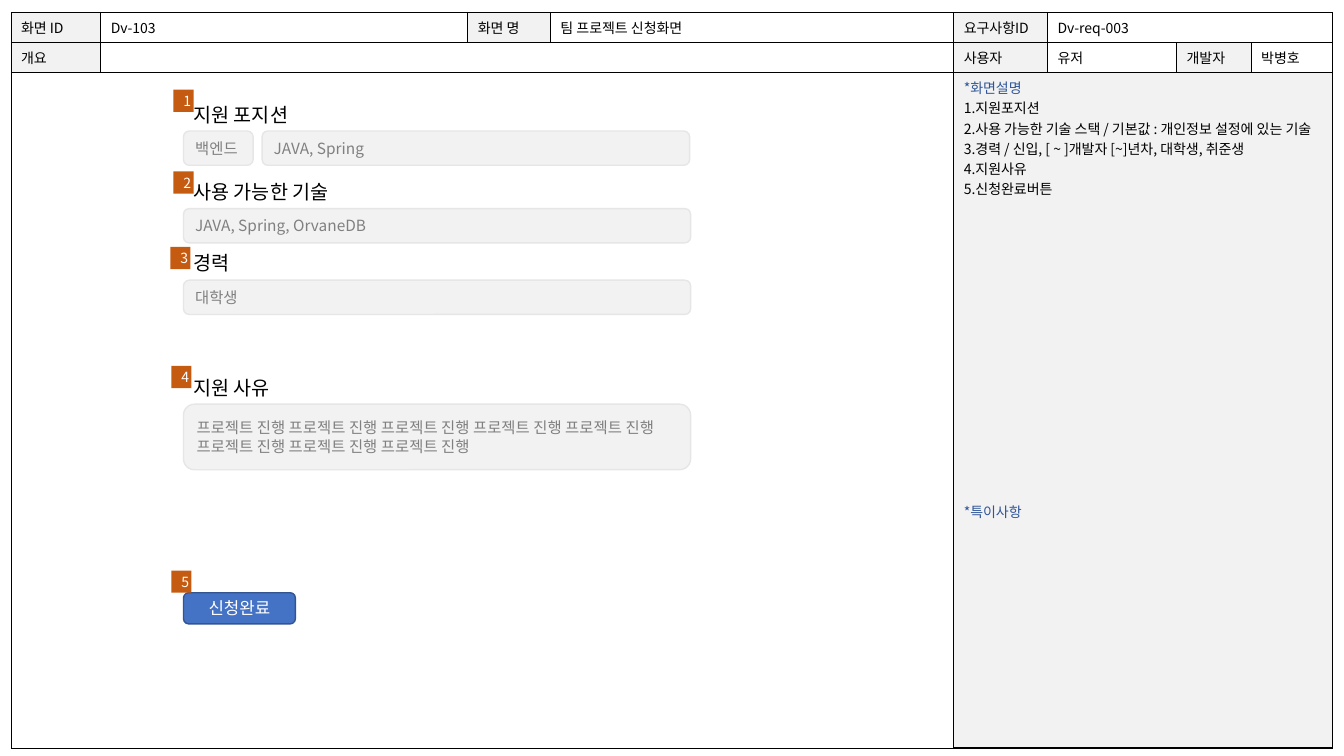
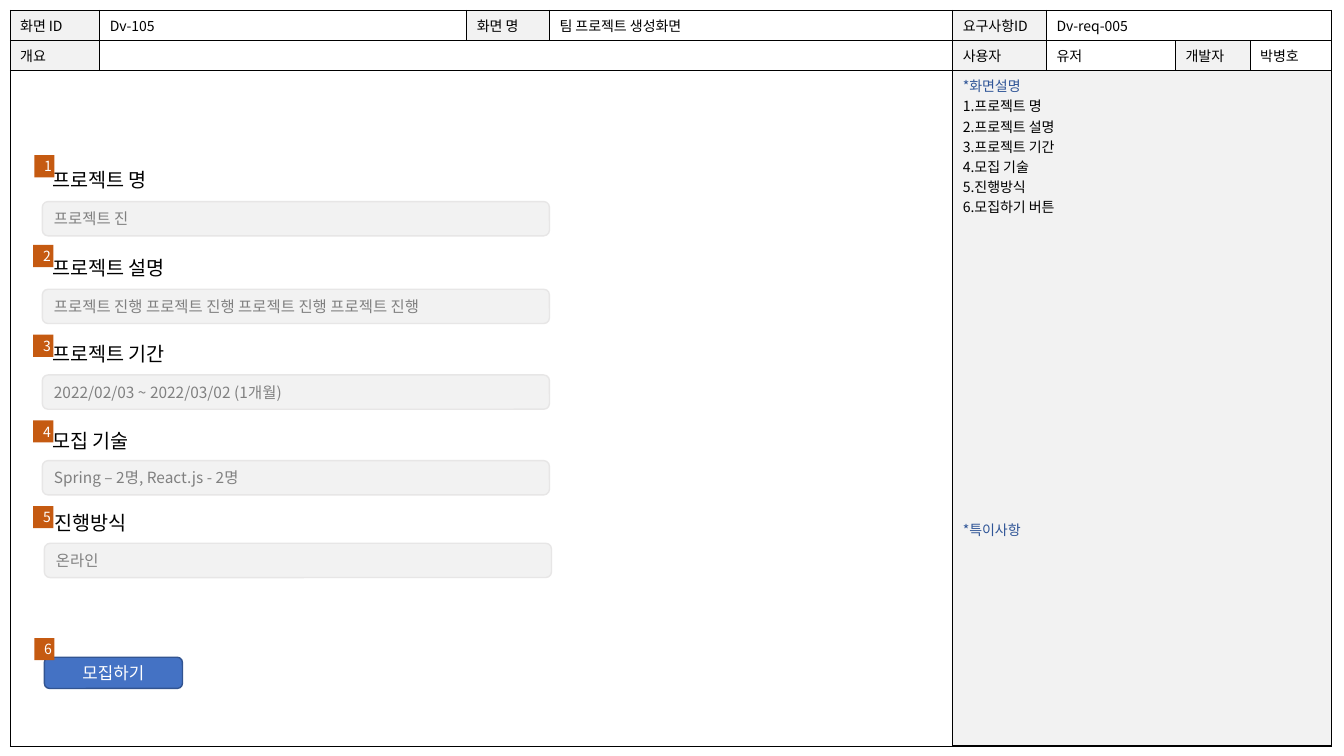
from lxml import etree
from pptx import Presentation
from pptx.dml import color as c
from pptx.enum import shapes, text
from pptx.oxml import ns
from pptx.util import Inches, Pt

FONT = "Noto Sans CJK KR"
BLACK, WHITE, GRAY, NAVY = "000000", "FFFFFF", "F2F2F2", "2F5597"
rgb = c.RGBColor.from_string
LEFT, CENTER = text.PP_ALIGN.LEFT, text.PP_ALIGN.CENTER
ROUNDED, SQUARE = shapes.MSO_SHAPE.ROUNDED_RECTANGLE, shapes.MSO_SHAPE.RECTANGLE

PARTS = {
    "input": dict(geometry=ROUNDED, fill=GRAY, line="E7E6E6", size=11, color="808080", align=LEFT),
    "button": dict(geometry=ROUNDED, fill="4472C4", line="325491", size=12, color=WHITE, align=CENTER),
    "badge": dict(geometry=SQUARE, fill="C55A11", line=None, size=10, color=WHITE, align=CENTER),
}
LABEL_FRAME = dict(word_wrap=False, auto_size=text.MSO_AUTO_SIZE.SHAPE_TO_FIT_TEXT)
PART_FRAME = dict(word_wrap=True, vertical_anchor=text.MSO_ANCHOR.MIDDLE)
PLAIN_TABLE = dict(first_row=False, horz_banding=False)

COLUMNS = [0.89, 3.64, 0.82, 4, 0.93, 1.28, 0.74, 0.81]
ROWS = [0.3, 0.3, 6.7]
MERGES = [((0, 5), (0, 7)), ((1, 1), (1, 3)), ((2, 0), (2, 3)), ((2, 4), (2, 7))]
SHADED = {(0, 0), (0, 2), (0, 4), (1, 0), (1, 4), (1, 6), (2, 4)}
HEAVY = {(2, 0, "R"), (2, 3, "R"), (2, 4, "L"), (2, 4, "B")}
REMARKS_GAP = 216

SCREENS = [
    dict(
        id="Dv-103", name="팀 프로젝트 신청화면", requirement="Dv-req-003",
        origin=(0.11, 0.12),
        notes=["1.지원포지션",
               "2.사용 가능한 기술 스택 / 기본값 : 개인정보 설정에 있는 기술",
               "3.경력 / 신입, [ ~ ]개발자 [~]년차, 대학생, 취준생",
               "4.지원사유", "5.신청완료버튼"],
        labels=[(1.82, 0.97, 1.25, "지원 포지션"), (1.82, 1.74, 1.71, "사용 가능한 기술"),
                (1.82, 2.44, 0.59, "경력"), (1.82, 3.68, 1.06, "지원 사유")],
        inputs=[(1.82, 1.3, 0.69, 0.34, "백엔드"), (2.6, 1.3, 4.24, 0.34, "JAVA, Spring"),
                (1.82, 2.07, 5.03, 0.34, "JAVA, Spring, OrvaneDB"),
                (1.82, 2.78, 5.03, 0.34, "대학생"),
                (1.82, 4.01, 5.03, 0.65, " ".join(["프로젝트 진행"] * 8))],
        button=(1.82, 5.88, 1.11, 0.31, "신청완료"),
        badges=[(1.72, 0.89), (1.72, 1.7), (1.69, 2.45), (1.7, 3.63), (1.7, 5.66)],
    ),
    dict(
        id="Dv-105", name="팀 프로젝트 생성화면", requirement="Dv-req-005",
        origin=(0.1, 0.1),
        notes=["1.프로젝트 명", "2.프로젝트 설명", "3.프로젝트 기간",
               "4.모집 기술", "5.진행방식", "6.모집하기 버튼"],
        labels=[(0.42, 1.62, 1.25, "프로젝트 명"), (0.42, 2.49, 1.45, "프로젝트 설명"),
                (0.42, 3.34, 1.45, "프로젝트 기간"), (0.42, 4.21, 1.06, "모집 기술"),
                (0.44, 5.02, 0.99, "진행방식")],
        inputs=[(0.42, 2, 5.03, 0.34, "프로젝트 진"),
                (0.42, 2.87, 5.03, 0.34, " ".join(["프로젝트 진행"] * 4)),
                (0.42, 3.72, 5.03, 0.34, "2022/02/03 ~ 2022/03/02 (1개월)"),
                (0.42, 4.57, 5.03, 0.34, "Spring – 2명, React.js - 2명"),
                (0.44, 5.39, 5.03, 0.34, "온라인")],
        button=(0.44, 6.52, 1.37, 0.31, "모집하기"),
        badges=[(0.34, 1.54), (0.33, 2.43), (0.33, 3.32), (0.33, 4.17), (0.33, 5.02), (0.34, 6.33)],
    ),
]


def write(paragraph, content, size, color, align=LEFT):
    paragraph.alignment = align
    run = paragraph.add_run()
    run.text = content
    for key, value in dict(name=FONT, size=Pt(size), bold=False).items():
        setattr(run.font, key, value)
    run.font.color.rgb = rgb(color)
    etree.SubElement(run.font._element, ns.qn("a:ea"), typeface=FONT)


def add_border(cell, side, width):
    line = etree.SubElement(cell._tc.get_or_add_tcPr(), ns.qn(f"a:ln{side}"), w=str(Pt(width)))
    fill = etree.SubElement(line, ns.qn("a:solidFill"))
    etree.SubElement(fill, ns.qn("a:srgbClr"), val=BLACK)


deck = Presentation()
deck.slide_width, deck.slide_height = Inches(13.33), Inches(7.5)

for screen in SCREENS:
    slide = deck.slides.add_slide(deck.slide_layouts[6])

    left, top = screen["origin"]
    sheet = slide.shapes.add_table(
        len(ROWS), len(COLUMNS), Inches(left), Inches(top),
        Inches(sum(COLUMNS)), Inches(sum(ROWS))).table
    for key, value in PLAIN_TABLE.items():
        setattr(sheet, key, value)
    for column, width in zip(sheet.columns, COLUMNS):
        column.width = Inches(width)
    for row, height in zip(sheet.rows, ROWS):
        row.height = Inches(height)
    for first, last in MERGES:
        sheet.cell(*first).merge(sheet.cell(*last))

    entries = {
        (0, 0): "화면 ID", (0, 1): screen["id"], (0, 2): "화면 명", (0, 3): screen["name"],
        (0, 4): "요구사항ID", (0, 5): screen["requirement"],
        (1, 0): "개요", (1, 4): "사용자", (1, 5): "유저", (1, 6): "개발자", (1, 7): "박병호",
        (2, 4): "*화면설명",
    }
    for r in range(len(ROWS)):
        for k in range(len(COLUMNS)):
            cell = sheet.cell(r, k)
            for side in "LRTB":
                add_border(cell, side, 1 if (r, k, side) in HEAVY else 0.5)
            cell.fill.solid()
            cell.fill.fore_color.rgb = rgb(GRAY if (r, k) in SHADED else WHITE)
            paragraph = cell.text_frame.paragraphs[0]
            if (r, k) in entries:
                write(paragraph, entries[r, k], 10, NAVY if r == 2 else BLACK)
            else:
                etree.SubElement(paragraph._p, ns.qn("a:endParaRPr"), sz="1000")

    notes = sheet.cell(2, 4).text_frame
    for note in screen["notes"]:
        write(notes.add_paragraph(), note, 10, BLACK)
    remarks = notes.add_paragraph()
    remarks.space_before = Pt(REMARKS_GAP)
    write(remarks, "*특이사항", 10, NAVY)

    for x, y, width, caption in screen["labels"]:
        label = slide.shapes.add_textbox(Inches(x), Inches(y), Inches(width), Inches(0.34))
        for key, value in LABEL_FRAME.items():
            setattr(label.text_frame, key, value)
        write(label.text_frame.paragraphs[0], caption, 14, BLACK)

    parts = [("input", *field) for field in screen["inputs"]]
    parts.append(("button", *screen["button"]))
    parts += [("badge", x, y, 0.2, 0.22, str(number))
              for number, (x, y) in enumerate(screen["badges"], 1)]
    for role, x, y, width, height, caption in parts:
        look = PARTS[role]
        part = slide.shapes.add_shape(
            look["geometry"], Inches(x), Inches(y), Inches(width), Inches(height))
        part.shadow.inherit = False
        part.fill.solid()
        part.fill.fore_color.rgb = rgb(look["fill"])
        if look["line"]:
            part.line.color.rgb = rgb(look["line"])
            part.line.width = Pt(1)
        else:
            part.line.fill.background()
        for key, value in PART_FRAME.items():
            setattr(part.text_frame, key, value)
        write(part.text_frame.paragraphs[0], caption, look["size"], look["color"], look["align"])

deck.save("out.pptx")
